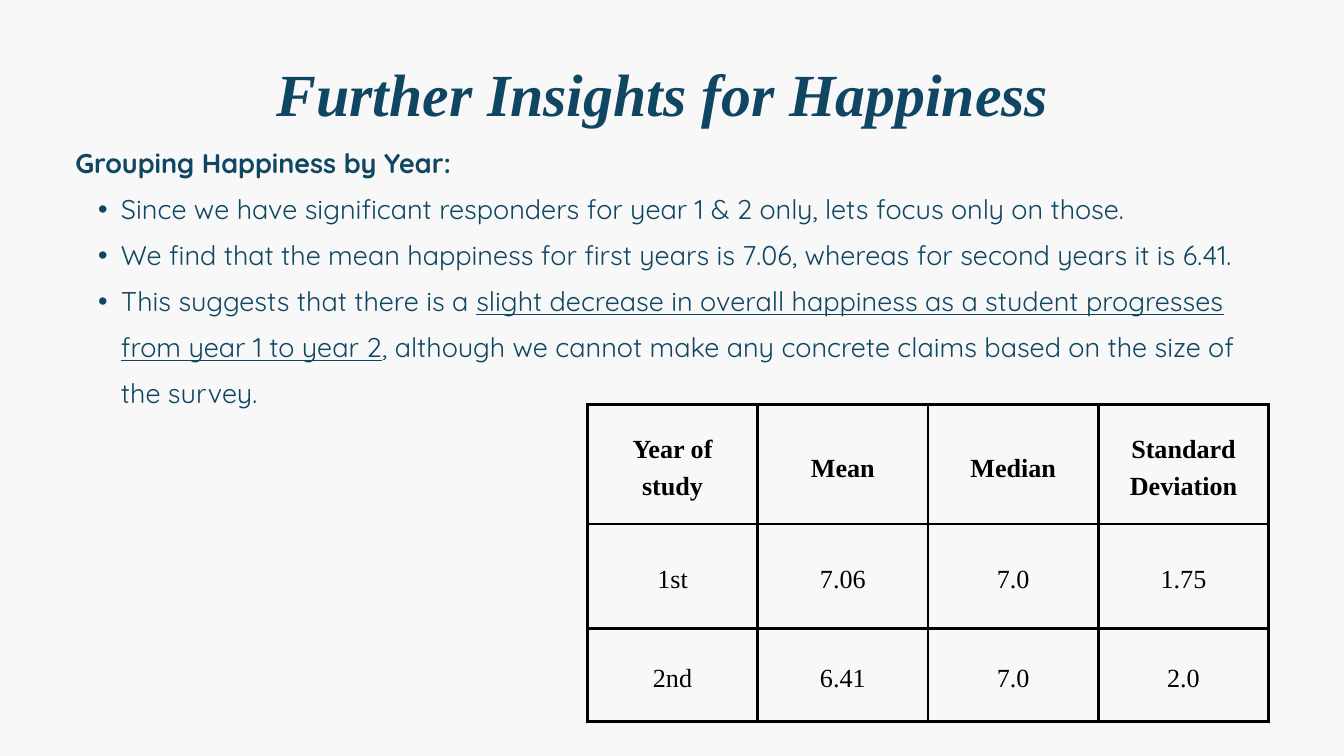
from dataclasses import dataclass

from lxml import etree
from pptx import Presentation
from pptx.dml.color import RGBColor
from pptx.enum.text import MSO_ANCHOR, MSO_AUTO_SIZE, PP_ALIGN
from pptx.oxml.ns import qn
from pptx.util import Inches, Pt

CENTER, LEFT = PP_ALIGN.CENTER, PP_ALIGN.LEFT
TOP, MIDDLE = MSO_ANCHOR.TOP, MSO_ANCHOR.MIDDLE
NO_AUTOFIT = MSO_AUTO_SIZE.NONE

SLIDE_WIDTH, SLIDE_HEIGHT = Inches(20), Inches(11.25)
COLORS = {"background": "F8F8F8", "heading": "0F4662", "table": "000000"}
BULLET_INDENT = Inches(0.34)
CELL_MARGIN = Inches(0.21)
BORDER_WIDTH = Pt(3)


@dataclass(frozen=True)
class Area:
    left: float
    top: float
    width: float
    height: float

    def place(self) -> tuple[int, int, int, int]:
        return (
            round(self.left * SLIDE_WIDTH),
            round(self.top * SLIDE_HEIGHT),
            round(self.width * SLIDE_WIDTH),
            round(self.height * SLIDE_HEIGHT),
        )


@dataclass(frozen=True)
class Style:
    font: str
    size: float
    line: float
    color: str
    align: PP_ALIGN = LEFT
    bold: bool = False
    italic: bool = False


@dataclass(frozen=True)
class Point:
    before: str
    underlined: str = ""
    after: str = ""


TITLE_AREA = Area(0.056, 0.0587, 0.8735, 0.1058)
BODY_AREA = Area(0.056, 0.176, 0.896, 0.4169)
TABLE_AREA = Area(0.437, 0.5351, 0.507, 0.4196)

TITLE = Style("Times New Roman", 64, 89.6, "heading", CENTER, True, True)
LEAD = Style("Quicksand", 29, 49.3, "heading", bold=True)
POINT = Style("Quicksand", 29, 49.3, "heading")
HEADER = Style("Times New Roman", 28, 39.2, "table", CENTER, True)
VALUE = Style("Times New Roman", 28, 39.2, "table", CENTER)

POINTS = [
    Point("Since we have significant responders for year 1 & 2 only, lets focus only on those."),
    Point("We find that the mean happiness for first years is 7.06, whereas for second years it is 6.41."),
    Point(
        "This suggests that there is a ",
        "slight decrease in overall happiness as a student progresses from year 1 to year 2",
        ", although we cannot make any concrete claims based on the size of the survey.",
    ),
]
STATISTICS = [
    ("Year of study", "Mean", "Median", "Standard Deviation"),
    ("1st", "7.06", "7.0", "1.75"),
    ("2nd", "6.41", "7.0", "2.0"),
]
ROW_HEIGHTS = [Inches(height) for height in (1.78, 1.55, 1.39)]


def rgb(name: str) -> RGBColor:
    return RGBColor.from_string(COLORS[name])


def format_paragraph(paragraph, style: Style) -> None:
    paragraph.alignment = style.align
    paragraph.line_spacing = Pt(style.line)
    paragraph.space_before = paragraph.space_after = Pt(0)
    font = paragraph.font
    font.name, font.size = style.font, Pt(style.size)
    font.bold, font.italic = style.bold, style.italic
    font.color.rgb = rgb(style.color)


def set_bullet(paragraph, character: str = "") -> None:
    properties = paragraph._p.get_or_add_pPr()
    properties.set("marL", str(2 * BULLET_INDENT if character else 0))
    properties.set("indent", str(-BULLET_INDENT if character else 0))
    if character:
        etree.SubElement(properties, qn("a:buFont"), typeface="Arial")
        etree.SubElement(properties, qn("a:buChar"), char=character)
    else:
        etree.SubElement(properties, qn("a:buNone"))


def prepare_placeholder(placeholder, area: Area):
    placeholder.left, placeholder.top, placeholder.width, placeholder.height = area.place()
    frame = placeholder.text_frame
    frame.margin_left = frame.margin_right = frame.margin_top = frame.margin_bottom = 0
    frame.vertical_anchor = TOP
    frame.word_wrap = True
    frame.auto_size = NO_AUTOFIT
    return frame


def add_point(frame, point: Point) -> None:
    paragraph = frame.add_paragraph()
    paragraph.level = 1
    set_bullet(paragraph, "•")
    format_paragraph(paragraph, POINT)
    for text in filter(None, (point.before, point.underlined, point.after)):
        run = paragraph.add_run()
        run.text = text
        if text == point.underlined:
            run.font.underline = True


def set_borders(cell) -> None:
    properties = cell._tc.get_or_add_tcPr()
    for position, side in enumerate(("a:lnL", "a:lnR", "a:lnT", "a:lnB")):
        line = etree.Element(qn(side), w=str(BORDER_WIDTH))
        fill = etree.SubElement(line, qn("a:solidFill"))
        etree.SubElement(fill, qn("a:srgbClr"), val=COLORS["table"])
        properties.insert(position, line)


def fill_cell(cell, text: str, style: Style) -> None:
    cell.fill.background()
    set_borders(cell)
    cell.margin_left = cell.margin_right = CELL_MARGIN
    cell.margin_top = cell.margin_bottom = CELL_MARGIN
    cell.vertical_anchor = MIDDLE
    cell.text = text
    format_paragraph(cell.text_frame.paragraphs[0], style)


def add_statistics(slide) -> None:
    shape = slide.shapes.add_table(len(STATISTICS), len(STATISTICS[0]), *TABLE_AREA.place())
    table = shape.table
    for row, height in zip(table.rows, ROW_HEIGHTS):
        row.height = height
    for row, texts in enumerate(STATISTICS):
        for column, text in enumerate(texts):
            fill_cell(table.cell(row, column), text, VALUE if row else HEADER)


def main() -> None:
    presentation = Presentation()
    presentation.slide_width, presentation.slide_height = SLIDE_WIDTH, SLIDE_HEIGHT
    slide = presentation.slides.add_slide(presentation.slide_layouts[1])
    slide.background.fill.solid()
    slide.background.fill.fore_color.rgb = rgb("background")

    title = prepare_placeholder(slide.shapes.title, TITLE_AREA)
    title.text = "Further Insights for Happiness"
    format_paragraph(title.paragraphs[0], TITLE)

    body = prepare_placeholder(slide.placeholders[1], BODY_AREA)
    body.text = "Grouping Happiness by Year:"
    set_bullet(body.paragraphs[0])
    format_paragraph(body.paragraphs[0], LEAD)
    for point in POINTS:
        add_point(body, point)

    add_statistics(slide)
    presentation.save("out.pptx")


if __name__ == "__main__":
    main()
